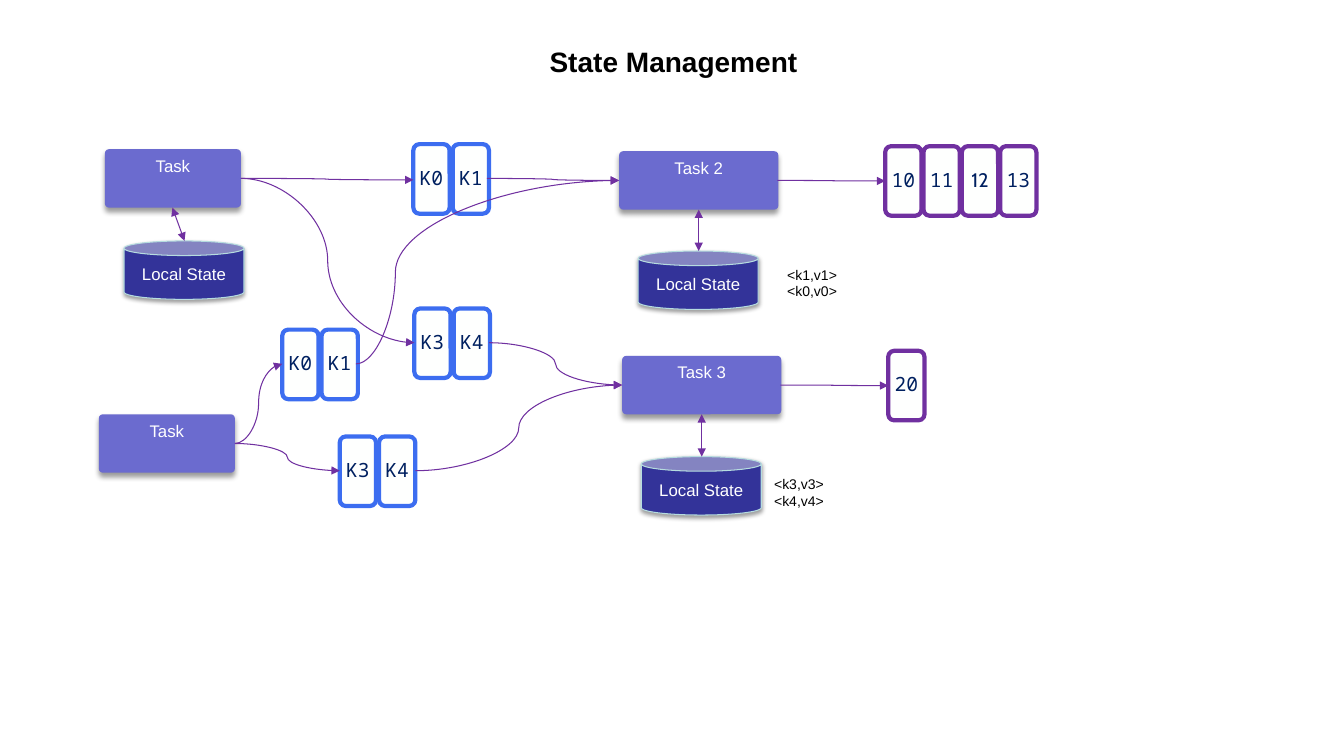
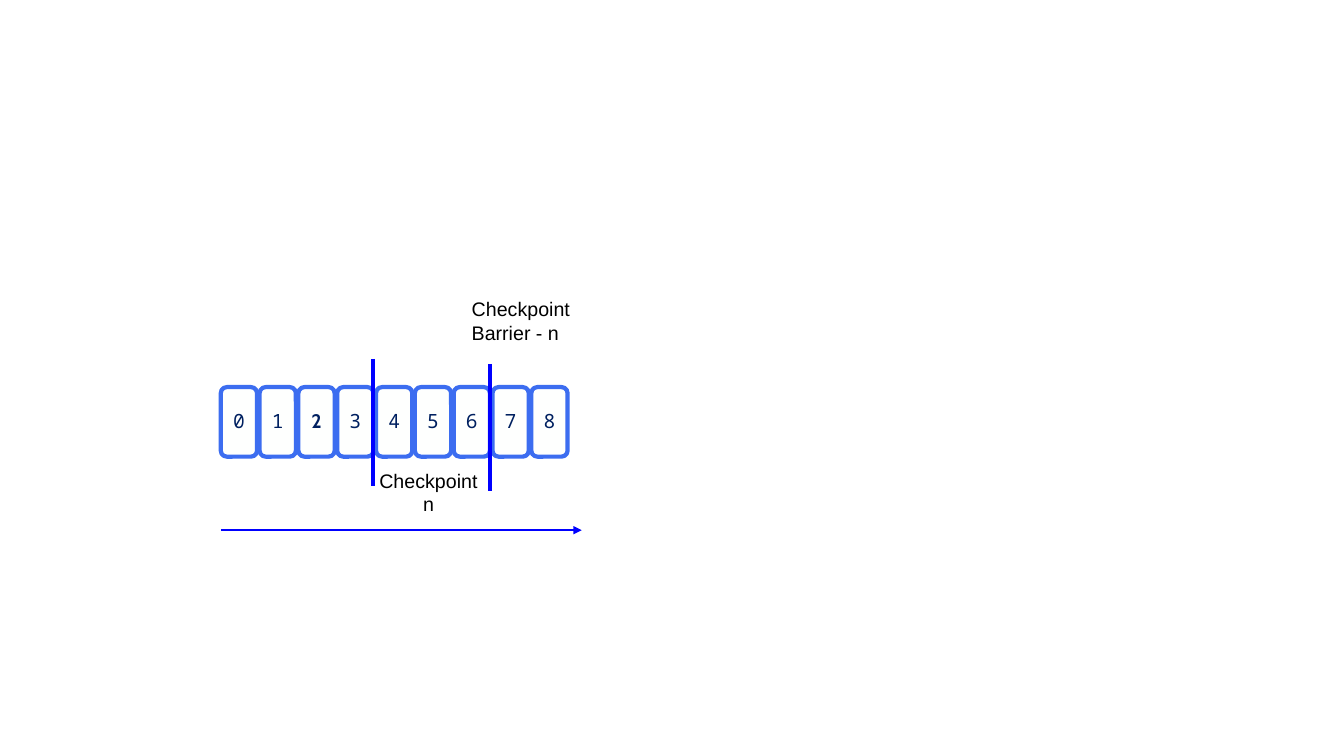
from lxml import etree
from pptx import Presentation
from pptx.dml.color import RGBColor
from pptx.enum.shapes import MSO_CONNECTOR, MSO_SHAPE
from pptx.enum.text import MSO_ANCHOR, MSO_AUTO_SIZE, PP_ALIGN
from pptx.oxml.ns import qn
from pptx.util import Inches, Pt

ROUNDED, CAN = MSO_SHAPE.ROUNDED_RECTANGLE, MSO_SHAPE.CAN
STRAIGHT, CURVE = MSO_CONNECTOR.STRAIGHT, MSO_CONNECTOR.CURVE
LEFT, CENTER = PP_ALIGN.LEFT, PP_ALIGN.CENTER
TOP, MIDDLE = MSO_ANCHOR.TOP, MSO_ANCHOR.MIDDLE
FIT_SHAPE, NO_FIT = MSO_AUTO_SIZE.SHAPE_TO_FIT_TEXT, MSO_AUTO_SIZE.NONE

COLORS = {
    "black": "000000", "white": "FFFFFF", "task": "6B6BCF", "store": "333399",
    "store_edge": "B6DCDF", "tile": "FEFFFE", "key": "3C6DF0",
    "flow": "7030A0", "ink": "002060", "barrier": "0000FF",
}
RGB = {name: RGBColor.from_string(value) for name, value in COLORS.items()}
SANS, MONO, ROUND = "Arial", "Noto Sans Mono", "Cabin"

prs = Presentation()
prs.slide_width, prs.slide_height = Inches(13.33), Inches(7.5)
CELL = prs.slide_height / 75


def grid(*cells):
    return [round(n * CELL) for n in cells]


def write(shape, lines, size, color="black", font=SANS, bold=False,
          align=CENTER, anchor=MIDDLE, margin=None, spacing=None):
    tf = shape.text_frame
    tf.vertical_anchor = anchor
    if margin is not None:
        for side in ("left", "top", "right", "bottom"):
            setattr(tf, "margin_" + side, margin)
    tf.text = "\n".join(lines)
    for p in tf.paragraphs:
        p.alignment = align
        p.line_spacing = spacing
        style = {"size": Pt(size), "name": font, "bold": bold}
        for name, value in style.items():
            setattr(p.runs[0].font, name, value)
        p.runs[0].font.color.rgb = RGB[color]


state = prs.slides.add_slide(prs.slide_layouts[5])
checkpoint = prs.slides.add_slide(prs.slide_layouts[6])

title = state.shapes.title
title.left, title.top, title.width, title.height = grid(6.7, 4.2, 120.2, 3.8)
write(title, ["State Management"], 20, bold=True, margin=0)
title.text_frame.auto_size = NO_FIT

KINDS = {
    "task": dict(preset=ROUNDED, adjust=0.07, edge=None, anchor=TOP,
                 alpha=40, blur=4, dist=3),
    "store": dict(preset=CAN, adjust=0.25, edge="store_edge", anchor=MIDDLE,
                  alpha=38, blur=3.1, dist=1.6),
}
nodes = [
    ("task", 61.4, 15, 15.8, "Task 2"), ("task", 61.7, 35.3, 15.8, "Task 3"),
    ("task", 10.4, 14.8, 13.5, "Task"), ("task", 9.8, 41.1, 13.5, "Task"),
    ("store", 63.3, 24.9, 11.9, "Local State"),
    ("store", 63.6, 45.3, 11.9, "Local State"),
    ("store", 12.3, 23.9, 11.9, "Local State"),
]
for kind, left, top, width, label in nodes:
    look = KINDS[kind]
    node = state.shapes.add_shape(look["preset"], *grid(left, top, width, 5.8))
    node.adjustments[0] = look["adjust"]
    node.fill.solid()
    node.fill.fore_color.rgb = RGB[kind]
    if look["edge"]:
        node.line.color.rgb = RGB[look["edge"]]
        node.line.width = Pt(0.75)
    else:
        node.line.fill.background()
    node.shadow.inherit = False
    effects = node._element.spPr.find(qn("a:effectLst"))
    shadow = etree.SubElement(
        effects, qn("a:outerShdw"), blurRad=str(Pt(look["blur"])),
        dist=str(Pt(look["dist"])), dir="5400000", rotWithShape="0")
    tint = etree.SubElement(shadow, qn("a:srgbClr"), val=COLORS["black"])
    etree.SubElement(tint, qn("a:alpha"), val=str(look["alpha"] * 1000))
    write(node, [label], 12, "white", anchor=look["anchor"])

strips = [
    (state, 41, 14.3, 3.9, "key", ["K0", "K1"]),
    (state, 41.1, 30.6, 3.9, "key", ["K3", "K4"]),
    (state, 28, 32.7, 3.9, "key", ["K0", "K1"]),
    (state, 33.7, 43.3, 3.9, "key", ["K3", "K4"]),
    (state, 87.8, 14.5, 3.8, "flow", ["10", "11", "12", "13"]),
    (state, 88.1, 34.8, 3.8, "flow", ["20"]),
    (checkpoint, 21.9, 38.4, 3.85, "key", list("012345678")),
]
for s, left, top, pitch, edge, labels in strips:
    for i, label in enumerate(labels):
        tile = s.shapes.add_shape(ROUNDED, *grid(left + i * pitch, top, 3.6, 6.9))
        tile.fill.solid()
        tile.fill.fore_color.rgb = RGB["tile"]
        tile.line.color.rgb = RGB[edge]
        tile.line.width = Pt(3)
        tile.shadow.inherit = False
        write(tile, [label], 14, "ink", ROUND if label in ("12", "2") else MONO,
              bold=label == "2", margin=0, spacing=0.9)

notes = [
    (state, 77.1, 25.9, 7, 4.4, 10, LEFT, ["<k1,v1>", "<k0,v0>"]),
    (state, 75.8, 46.7, 7, 4.4, 10, LEFT, ["<k3,v3>", "<k4,v4>"]),
    (checkpoint, 45.8, 29, 11.8, 5.7, 14, LEFT, ["Checkpoint", "Barrier - n"]),
    (checkpoint, 36.6, 46, 11.8, 5.7, 14, CENTER, ["Checkpoint", "n"]),
]
for s, left, top, width, height, size, align, lines in notes:
    note = s.shapes.add_textbox(*grid(left, top, width, height))
    write(note, lines, size, align=align, anchor=TOP)
    note.text_frame.word_wrap = False
    note.text_frame.auto_size = FIT_SHAPE

FLOW = dict(slide=state, preset=CURVE, color="flow", weight=0.75, ends=["tailEnd"])
LINK = dict(FLOW, preset=STRAIGHT, ends=["headEnd", "tailEnd"])
BARRIER = dict(slide=checkpoint, preset=STRAIGHT, color="barrier", weight=2.25, ends=[])
STREAM = dict(BARRIER, weight=1.5, ends=["tailEnd"])
EARLY_BEND = dict(FLOW, bend=0.15)
lines = [
    (FLOW, 48.3, 17.7, 61.4, 17.9), (FLOW, 77.1, 17.9, 87.8, 17.95),
    (FLOW, 23.9, 17.7, 41, 17.85), (FLOW, 77.4, 38.2, 88.1, 38.25),
    (FLOW, 23.9, 17.7, 41.1, 34), (FLOW, 48.5, 34, 61.7, 38.2),
    (FLOW, 23.3, 44, 28, 36.1), (EARLY_BEND, 35.3, 36.1, 61.4, 17.9),
    (FLOW, 23.3, 44, 33.7, 46.7), (FLOW, 41.2, 46.7, 61.7, 38.2),
    (LINK, 69.3, 20.8, 69.3, 24.9), (LINK, 69.6, 41.1, 69.6, 45.3),
    (LINK, 17.1, 20.6, 18.3, 23.9),
    (BARRIER, 37, 35.6, 37, 48.2), (BARRIER, 48.6, 36.1, 48.6, 48.7),
    (STREAM, 21.9, 52.6, 57.7, 52.6),
]
for look, *ends in lines:
    line = look["slide"].shapes.add_connector(look["preset"], *grid(*ends))
    line.line.color.rgb = RGB[look["color"]]
    line.line.width = Pt(look["weight"])
    spPr = line._element.spPr
    for end in look["ends"]:
        etree.SubElement(spPr.find(qn("a:ln")), qn("a:" + end), type="triangle")
    etree.SubElement(spPr, qn("a:effectLst"))
    if "bend" in look:
        guides = spPr.find(qn("a:prstGeom")).find(qn("a:avLst"))
        etree.SubElement(guides, qn("a:gd"), name="adj1",
                         fmla=f"val {round(look['bend'] * 100000)}")

prs.save("out.pptx")
